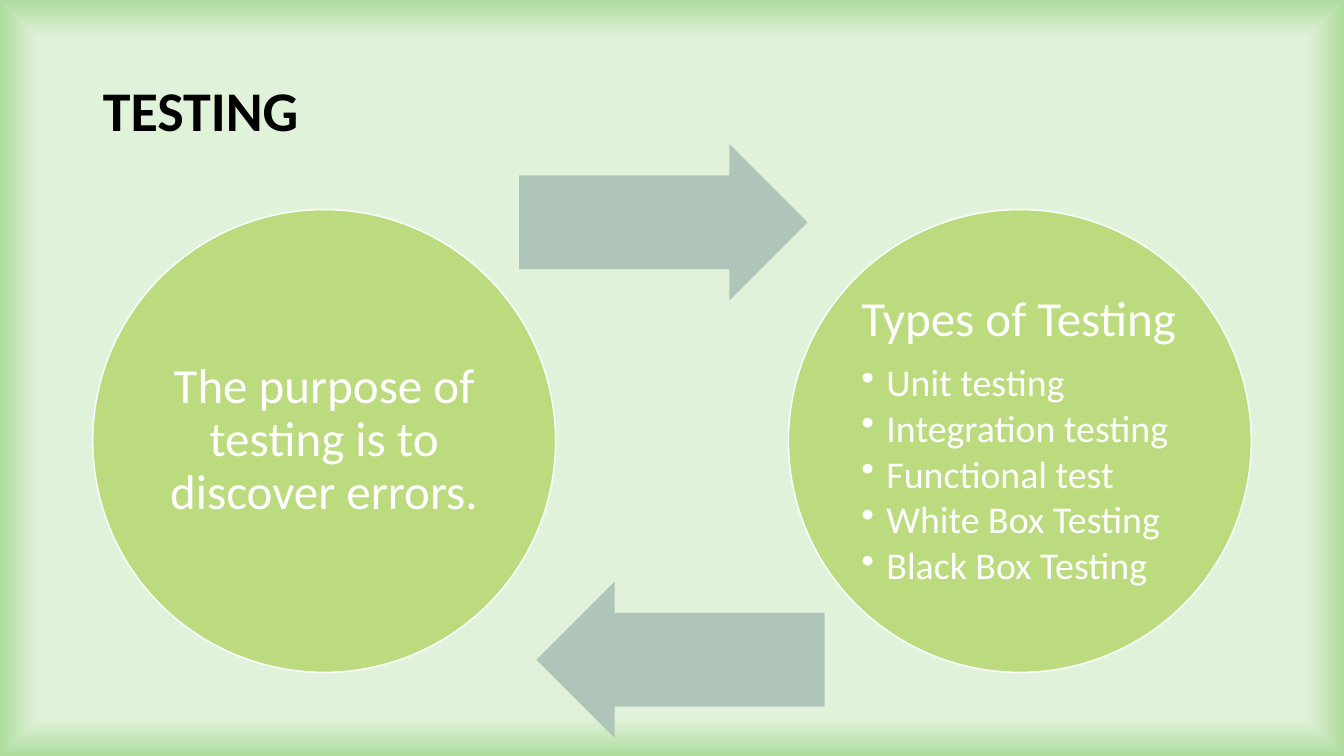
from dataclasses import dataclass

from lxml import etree
from pptx import Presentation
from pptx import util as u
from pptx.dml.color import RGBColor
from pptx.enum import shapes, text
from pptx.oxml import parse_xml
from pptx.oxml.ns import nsdecls, qn


@dataclass(frozen=True)
class Theme:
    font: str = "Calibri"
    ink: str = "000000"
    light: str = "FFFFFF"
    circle: str = "BBDB7E"
    arrow: str = "AFC5B9"
    page: str = "E1F2DA"
    edge: str = "AEDC9D"
    title_size: int = 40
    lead_size: int = 35
    item_size: int = 27


def write(para, words, *, font, size, color, bold=False,
          align=text.PP_ALIGN.LEFT, after=0):
    para.alignment = align
    para.line_spacing = 0.9
    para.space_before = u.Pt(0)
    para.space_after = u.Pt(after)
    span = para.add_run()
    span.text = words
    span.font.name = font
    span.font.size = u.Pt(size)
    span.font.bold = bold
    span.font.color.rgb = RGBColor.from_string(color)


class Page:
    def __init__(self, deck, theme):
        self.theme = theme
        self.slide = deck.slides.add_slide(deck.slide_layouts[5])

    def background(self):
        fill = self.slide.background.fill
        fill.gradient()
        gradient = self.slide.element.find(".//" + qn("a:gradFill"))
        gradient.getparent().replace(gradient, parse_xml(
            f'<a:gradFill {nsdecls("a")} rotWithShape="1"><a:gsLst>'
            f'<a:gs pos="90000"><a:srgbClr val="{self.theme.page}"/></a:gs>'
            f'<a:gs pos="100000"><a:srgbClr val="{self.theme.edge}"/></a:gs>'
            '</a:gsLst><a:path path="shape">'
            '<a:fillToRect l="50000" t="50000" r="50000" b="50000"/>'
            '</a:path></a:gradFill>'))

    def title(self, words):
        box = self.slide.shapes.title
        box.left, box.top = u.Inches(0.92), u.Inches(0.4)
        box.width, box.height = u.Inches(11.5), u.Inches(1.45)
        frame = box.text_frame
        frame.word_wrap = True
        frame.vertical_anchor = text.MSO_ANCHOR.MIDDLE
        write(frame.paragraphs[0], words, font=self.theme.font,
              size=self.theme.title_size, color=self.theme.ink, bold=True)

    def shape(self, kind, left, top, width, height, color):
        shape = self.slide.shapes.add_shape(
            kind, u.Inches(left), u.Inches(top), u.Inches(width), u.Inches(height))
        shape.shadow.inherit = False
        shape.fill.solid()
        shape.fill.fore_color.rgb = RGBColor.from_string(color)
        shape.line.fill.background()
        return shape

    def circle(self, left, lead, items=(), align=text.PP_ALIGN.LEFT):
        theme = self.theme
        circle = self.shape(shapes.MSO_SHAPE.OVAL, left, 2.08, 4.59, 4.59, theme.circle)
        circle.line.color.rgb = RGBColor.from_string(theme.light)
        circle.line.width = u.Pt(1)
        frame = circle.text_frame
        frame.word_wrap = True
        frame.vertical_anchor = text.MSO_ANCHOR.MIDDLE
        frame.margin_left = frame.margin_right = u.Inches(0.05)
        frame.margin_top = frame.margin_bottom = u.Inches(0.05)
        write(frame.paragraphs[0], lead, font=theme.font, size=theme.lead_size,
              color=theme.light, align=align, after=12)
        for item in items:
            para = frame.add_paragraph()
            para.level = 1
            write(para, item, font=theme.font, size=theme.item_size,
                  color=theme.light, after=3.5)
            self.bullet(para)

    def bullet(self, para):
        indent = u.Inches(0.25)
        properties = para._p.get_or_add_pPr()
        properties.set("marL", str(indent))
        properties.set("indent", str(-indent))
        etree.SubElement(properties, qn("a:buChar")).set("char", "•")

    def arrow(self, left, top, rotation=0):
        arrow = self.shape(shapes.MSO_SHAPE.RIGHT_ARROW, left, top, 2.86, 1.55,
                           self.theme.arrow)
        arrow.adjustments[0] = 0.6
        arrow.adjustments[1] = 0.5
        arrow.rotation = rotation


def main():
    deck = Presentation()
    deck.slide_width, deck.slide_height = u.Inches(13.33), u.Inches(7.5)
    page = Page(deck, Theme())
    page.background()
    page.title("TESTING")
    page.circle(0.92, "The purpose of testing is to discover errors.",
                align=text.PP_ALIGN.CENTER)
    page.arrow(5.15, 1.43)
    page.circle(7.82, "Types of Testing",
                ["Unit testing", "Integration testing", "Functional test",
                 "White Box Testing", "Black Box Testing"])
    page.arrow(5.32, 5.77, rotation=180)
    deck.save("out.pptx")


if __name__ == "__main__":
    main()
